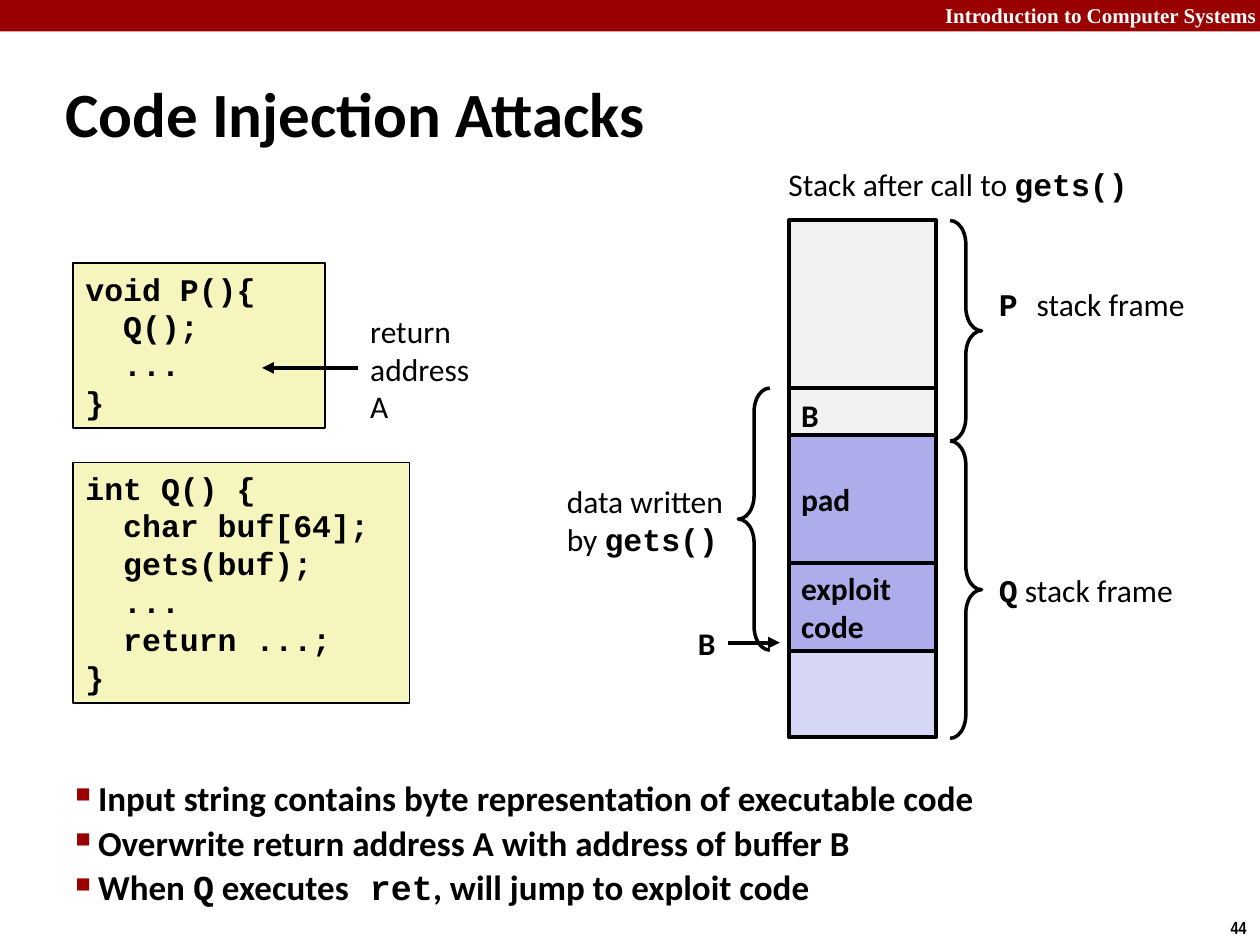
from dataclasses import dataclass
from typing import NamedTuple

from lxml.etree import SubElement
from pptx import Presentation
from pptx.dml.color import RGBColor
from pptx.enum.shapes import MSO_CONNECTOR, MSO_SHAPE
from pptx.enum.text import MSO_ANCHOR, MSO_AUTO_SIZE, PP_ALIGN
from pptx.oxml.ns import qn
from pptx.util import Inches, Pt

BLACK, WHITE, RED = "000000", "FFFFFF", "990000"
CODE_YELLOW, GREY, PURPLE, LAVENDER = "F6F5BD", "F2F2F2", "ADADEB", "D6D6F5"
SANS, MONO = "Calibri", "Courier New"
STACK_LEFT, STACK_WIDTH = 6.26, 1.17


class Run(NamedTuple):
    text: str
    bold: bool = False
    font: str = SANS


class Area(NamedTuple):
    left: float
    top: float
    width: float
    height: float


@dataclass
class Text:
    area: Area
    paragraphs: list[list[Run]]
    size: float = 18
    color: str = BLACK
    align: PP_ALIGN = PP_ALIGN.LEFT
    anchor: MSO_ANCHOR = MSO_ANCHOR.MIDDLE
    wrap: bool = False


@dataclass
class Block:
    area: Area
    fill: str
    paragraphs: list[list[Run]]
    line_width: float = 2.25
    anchor: MSO_ANCHOR = MSO_ANCHOR.MIDDLE


@dataclass
class Brace:
    area: Area
    rotation: float = 0


def color_of(value: str) -> RGBColor:
    """Turn a hex string into a colour."""
    return RGBColor.from_string(value)


def lengths(area: Area) -> list[Inches]:
    """Give the position and size of an area in inches."""
    return [Inches(value) for value in area]


def one_run_lines(source: str, font: str = SANS) -> list[list[Run]]:
    """Make one bold paragraph per line of text."""
    return [[Run(line, True, font)] for line in source.splitlines()]


def write(frame, paragraphs, size=18, color=BLACK, align=PP_ALIGN.LEFT) -> None:
    """Fill a text frame run by run."""
    for index, runs in enumerate(paragraphs):
        paragraph = frame.add_paragraph() if index else frame.paragraphs[0]
        paragraph.alignment = align
        for item in runs:
            run = paragraph.add_run()
            run.text = item.text
            run.font.name = item.font
            run.font.size = Pt(size)
            run.font.bold = item.bold
            run.font.color.rgb = color_of(color)


def add_text(slide, text: Text):
    """Add a text box."""
    shape = slide.shapes.add_textbox(*lengths(text.area))
    frame = shape.text_frame
    frame.word_wrap = text.wrap
    frame.auto_size = MSO_AUTO_SIZE.NONE if text.wrap else MSO_AUTO_SIZE.SHAPE_TO_FIT_TEXT
    frame.vertical_anchor = text.anchor
    write(frame, text.paragraphs, text.size, text.color, text.align)
    return shape


def add_block(slide, block: Block) -> None:
    """Add a filled rectangle with its text."""
    shape = slide.shapes.add_shape(MSO_SHAPE.RECTANGLE, *lengths(block.area))
    shape.shadow.inherit = False
    shape.fill.solid()
    shape.fill.fore_color.rgb = color_of(block.fill)
    if block.line_width:
        shape.line.color.rgb = color_of(BLACK)
        shape.line.width = Pt(block.line_width)
    else:
        shape.line.fill.background()
    shape.text_frame.word_wrap = True
    shape.text_frame.vertical_anchor = block.anchor
    write(shape.text_frame, block.paragraphs)


def add_brace(slide, brace: Brace) -> None:
    """Add a curly brace."""
    shape = slide.shapes.add_shape(MSO_SHAPE.LEFT_BRACE, *lengths(brace.area))
    shape.shadow.inherit = False
    shape.adjustments[0] = 0.75
    shape.rotation = brace.rotation
    shape.fill.background()
    shape.line.color.rgb = color_of(BLACK)
    shape.line.width = Pt(2)


def add_arrow(slide, label, site: int, start_x: float, end_x: float, y: float) -> None:
    """Add a horizontal arrow that starts at the side of a label."""
    arrow = slide.shapes.add_connector(
        MSO_CONNECTOR.STRAIGHT, Inches(start_x), Inches(y), Inches(end_x), Inches(y))
    arrow.begin_connect(label, site)
    arrow.begin_y = arrow.end_y = Inches(y)
    arrow.line.color.rgb = color_of(BLACK)
    arrow.line.width = Pt(2.25)
    SubElement(arrow.line._get_or_add_ln(), qn("a:tailEnd"), type="triangle")
    SubElement(arrow._element.spPr, qn("a:effectLst"))


def add_bullets(slide, text: Text) -> None:
    """Add a text box with square red bullets."""
    frame = add_text(slide, text).text_frame
    for index, paragraph in enumerate(frame.paragraphs):
        paragraph.line_spacing = 0.9
        paragraph.space_before = Pt(4 if index else 0)
        properties = paragraph._p.get_or_add_pPr()
        properties.set("marL", str(Inches(0.18)))
        properties.set("indent", str(-Inches(0.18)))
        bullet_color = SubElement(properties, qn("a:buClr"))
        SubElement(bullet_color, qn("a:srgbClr"), val=RED)
        SubElement(properties, qn("a:buSzPct"), val="60000")
        SubElement(properties, qn("a:buChar"), char="■")


def stack_cell(top: float, height: float, fill: str, words: str = "") -> Block:
    """Describe one cell of the stack."""
    return Block(Area(STACK_LEFT, top, STACK_WIDTH, height), fill, one_run_lines(words))


def code_block(area: Area, code: str) -> Block:
    """Describe a listing on yellow."""
    return Block(area, CODE_YELLOW, one_run_lines(code, MONO), 1, MSO_ANCHOR.TOP)


BLOCKS = [
    Block(Area(0, 0, 10, 0.25), RED, [], 0),
    code_block(Area(0.58, 3.67, 2.67, 1.91),
               "int Q() {\n  char buf[64];\n  gets(buf);\n  ...\n  return ...;\n}"),
    code_block(Area(0.58, 2.09, 2, 1.31), "void P(){\n  Q();\n  ...\n}"),
    stack_cell(3.08, 0.42, GREY, "B"),
    stack_cell(1.75, 1.33, GREY),
    stack_cell(5.17, 0.68, LAVENDER),
    stack_cell(4.46, 0.71, PURPLE, "exploit\ncode"),
    stack_cell(3.45, 1.02, PURPLE, "pad"),
]
GETS = Run("gets()", True, MONO)
TEXTS = [
    Text(Area(6, -0.03, 4.07, 0.3),
         [[Run("Introduction to Computer Systems", True, "Times New Roman")]],
         12, WHITE, PP_ALIGN.RIGHT, MSO_ANCHOR.TOP, True),
    Text(Area(9.66, 7.23, 0.34, 0.27), [[Run("44", True, "Arial Narrow")]],
         10, align=PP_ALIGN.CENTER, anchor=MSO_ANCHOR.TOP),
    Text(Area(0.42, 0.58, 9.08, 0.63), one_run_lines("Code Injection Attacks"), 36, wrap=True),
    Text(Area(6.16, 1.26, 2.93, 0.4), [[Run("Stack after call to "), GETS]], anchor=MSO_ANCHOR.TOP),
    Text(Area(7.83, 2.21, 1.7, 0.4), [[Run("P ", True, MONO), Run("stack frame")]]),
    Text(Area(7.83, 4.48, 1.61, 0.4), [[Run("Q", True, MONO), Run(" stack frame")]]),
    Text(Area(4.4, 3.77, 1.5, 0.71), [[Run("data written")], [Run("by "), GETS]], wrap=True),
]
RETURN_LABEL = Text(Area(2.84, 2.42, 1, 1.01), [[Run("return")], [Run("address")], [Run("A")]])
BUFFER_LABEL = Text(Area(5.44, 4.9, 0.34, 0.4), one_run_lines("B"))
BRACES = [
    Brace(Area(7.54, 1.75, 0.25, 1.75), 180),
    Brace(Area(7.54, 3.5, 0.25, 2.36), 180),
    Brace(Area(5.86, 3.08, 0.25, 2.08)),
]
BULLETS = Text(Area(0.5, 6.08, 9.03, 1.25), [
    [Run("Input string contains byte representation of executable code", True)],
    [Run("Overwrite return address A with address of buffer B", True)],
    [Run("When ", True), Run("Q", True, MONO), Run(" executes", True),
     Run(" ret", True, MONO), Run(", will jump to exploit code", True)],
], 20, wrap=True)


def main() -> None:
    """Build and save the slide."""
    presentation = Presentation()
    presentation.slide_width, presentation.slide_height = Inches(10), Inches(7.5)
    slide = presentation.slides.add_slide(presentation.slide_layouts[6])
    for block in BLOCKS:
        add_block(slide, block)
    for text in TEXTS:
        add_text(slide, text)
    add_arrow(slide, add_text(slide, RETURN_LABEL), 1, 2.84, 2.08, 2.92)
    add_arrow(slide, add_text(slide, BUFFER_LABEL), 3, 5.78, 6.19, 5.1)
    for brace in BRACES:
        add_brace(slide, brace)
    add_bullets(slide, BULLETS)
    presentation.save("out.pptx")


if __name__ == "__main__":
    main()
